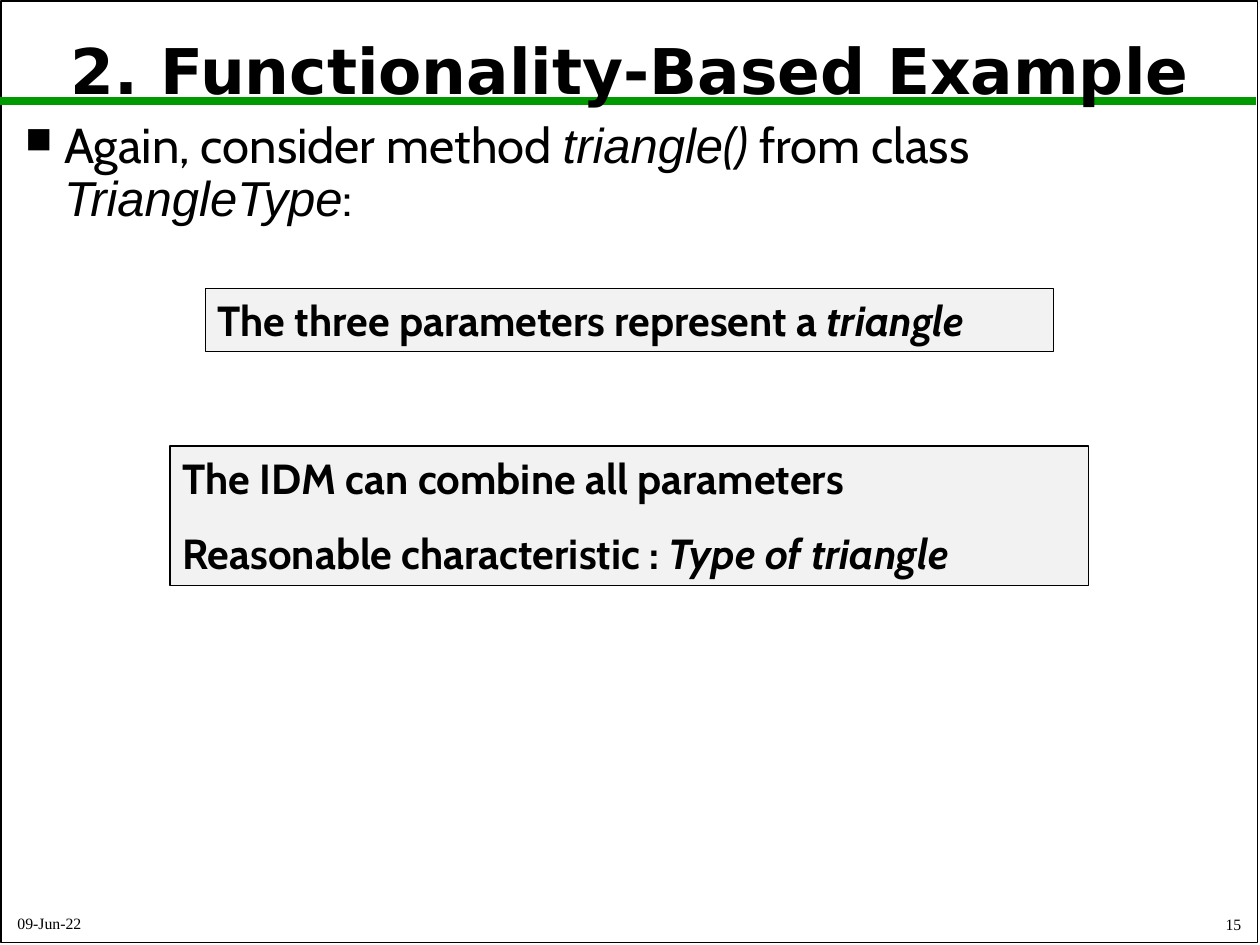
from dataclasses import dataclass

from lxml.etree import SubElement
from pptx import Presentation
from pptx.dml.color import RGBColor
from pptx.enum.shapes import MSO_CONNECTOR, MSO_SHAPE
from pptx.enum.text import MSO_ANCHOR, MSO_AUTO_SIZE, PP_ALIGN
from pptx.oxml.ns import qn
from pptx.util import Inches, Pt

BLACK, GREEN, GREY = "000000", "009900", "F2F2F2"
HEADING, BODY, CODE, SMALL = "DejaVu Sans", "Cabin", "Arial", "Times New Roman"


@dataclass
class Run:
    text: str
    font: str = BODY
    italic: bool = False


@dataclass
class Box:
    left: float
    top: float
    width: float
    height: float

    def lengths(self) -> list:
        return [Inches(v) for v in (self.left, self.top, self.width, self.height)]


def rgb(color: str) -> RGBColor:
    return RGBColor.from_string(color)


def add_runs(p, runs: list[Run], size: float, bold: bool = False) -> None:
    for run in runs:
        r = p.add_run()
        r.text = run.text
        r.font.name = run.font
        r.font.size = Pt(size)
        r.font.bold = bold
        r.font.italic = run.italic
        r.font.color.rgb = rgb(BLACK)


def add_rect(s, box: Box, line_width: float, fill: str | None = None):
    sp = s.shapes.add_shape(MSO_SHAPE.RECTANGLE, *box.lengths())
    sp.shadow.inherit = False
    if fill:
        sp.fill.solid()
        sp.fill.fore_color.rgb = rgb(fill)
    else:
        sp.fill.background()
    sp.line.color.rgb = rgb(BLACK)
    sp.line.width = Pt(line_width)
    return sp


def add_callout(s, box: Box, paragraphs: list[list[Run]]) -> None:
    tf = add_rect(s, box, 0.75, GREY).text_frame
    tf.word_wrap = True
    tf.auto_size = MSO_AUTO_SIZE.SHAPE_TO_FIT_TEXT
    tf.vertical_anchor = MSO_ANCHOR.TOP
    for i, runs in enumerate(paragraphs):
        p = tf.add_paragraph() if i else tf.paragraphs[0]
        p.alignment = PP_ALIGN.LEFT
        p.space_before = Pt(14.4 if i else 0)
        add_runs(p, runs, 24, bold=True)


def add_footer(s, box: Box, text: str, align: PP_ALIGN) -> None:
    tf = s.shapes.add_textbox(*box.lengths()).text_frame
    tf.word_wrap = True
    tf.vertical_anchor = MSO_ANCHOR.BOTTOM
    tf.paragraphs[0].alignment = align
    add_runs(tf.paragraphs[0], [Run(text, SMALL)], 9)


def add_bullet(p, char: str, indent: float) -> None:
    pPr = p._p.get_or_add_pPr()
    pPr.set("marL", str(Inches(indent)))
    pPr.set("indent", str(-Inches(indent)))
    SubElement(pPr, qn("a:buSzPct"), val="75000")
    SubElement(pPr, qn("a:buChar"), char=char)


def main() -> None:
    prs = Presentation()
    prs.slide_width, prs.slide_height = Inches(10), Inches(7.5)
    s = prs.slides.add_slide(prs.slide_layouts[5])

    # Frame and green rule, behind the title
    frame = add_rect(s, Box(0.01, 0.01, 9.97, 7.47), 1)
    rule = s.shapes.add_connector(
        MSO_CONNECTOR.STRAIGHT, 0, Inches(0.8), Inches(9.97), Inches(0.8))
    rule.line.color.rgb = rgb(GREEN)
    rule.line.width = Pt(4.5)
    SubElement(rule._element.spPr, qn("a:effectLst"))
    title = s.shapes.title
    for sp in (frame, rule):
        title._element.addprevious(sp._element)

    # Title
    title.left, title.top, title.width, title.height = Box(0.05, 0.11, 9.9, 0.95).lengths()
    tf = title.text_frame
    tf.auto_size = MSO_AUTO_SIZE.NONE
    tf.vertical_anchor = MSO_ANCHOR.MIDDLE
    p = tf.paragraphs[0]
    p.alignment = PP_ALIGN.CENTER
    p.line_spacing = 0.9
    add_runs(p, [Run("2. Functionality-Based Example", HEADING)], 36, bold=True)

    # Bulleted statement
    tf = s.shapes.add_textbox(*Box(0.1, 0.91, 9.81, 6.27).lengths()).text_frame
    tf.word_wrap = True
    p = tf.paragraphs[0]
    add_bullet(p, "■", 0.31)
    p.line_spacing = 0.9
    add_runs(p, [
        Run("Again, consider method "),
        Run("triangle", CODE, italic=True),
        Run("()", italic=True),
        Run(" from class "),
        Run("TriangleType", CODE, italic=True),
        Run(":"),
    ], 28)

    # Date and slide number
    add_footer(s, Box(0.04, 7.18, 4.2, 0.27), "09-Jun-22", PP_ALIGN.LEFT)
    add_footer(s, Box(7.87, 7.17, 2.08, 0.29), "15", PP_ALIGN.RIGHT)

    # Grey callouts
    add_callout(s, Box(1.63, 2.29, 6.73, 0.5), [
        [Run("The three parameters represent a "), Run("triangle", italic=True)],
    ])
    add_callout(s, Box(1.35, 3.54, 7.29, 1.11), [
        [Run("The IDM can combine all parameters")],
        [Run("Reasonable characteristic : "), Run("Type of triangle", italic=True)],
    ])

    prs.save("out.pptx")


if __name__ == "__main__":
    main()
